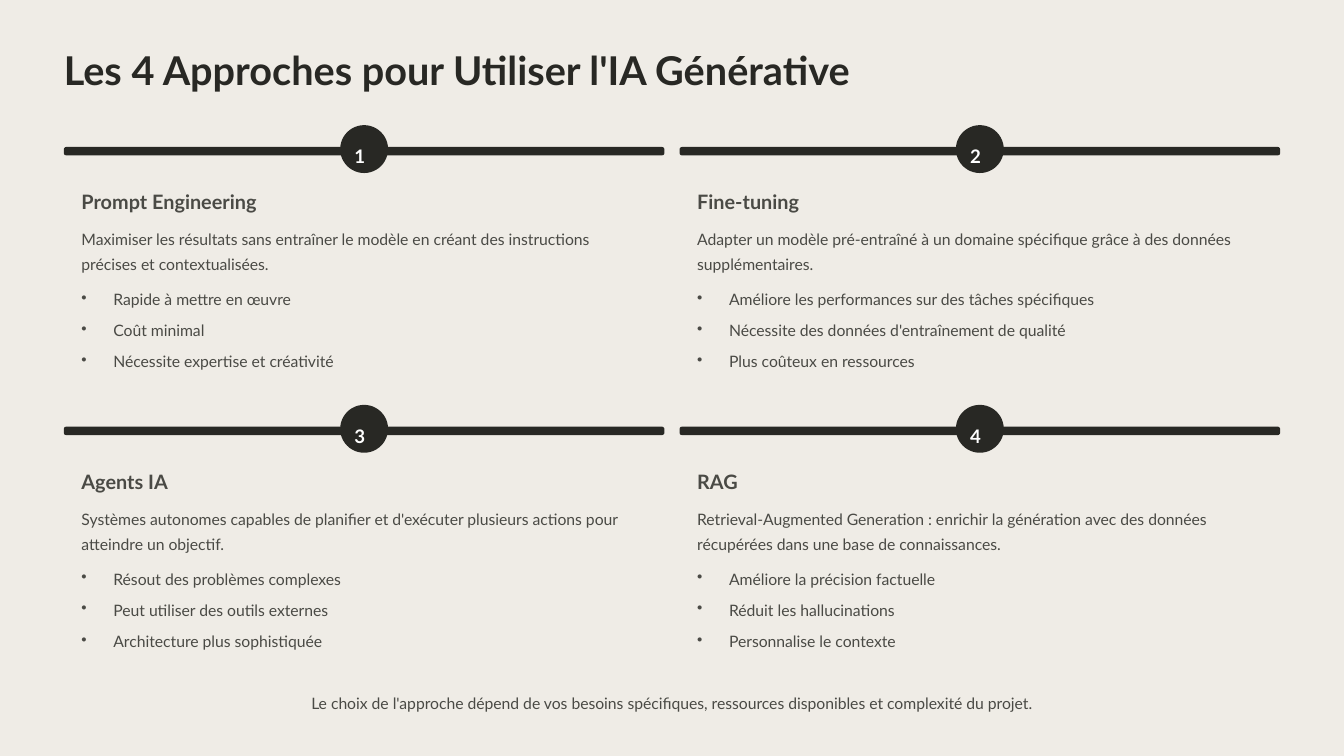
from lxml.etree import SubElement
from pptx import Presentation
from pptx.dml.color import RGBColor
from pptx.enum.shapes import MSO_SHAPE as Shape
from pptx.enum.text import PP_ALIGN as Align
from pptx.oxml.ns import qn
from pptx.util import Inches, Pt

CREAM = RGBColor(0xEF, 0xEC, 0xE6)
INK = RGBColor(0x28, 0x28, 0x24)
GREY = RGBColor(0x4A, 0x4A, 0x45)
WHITE = RGBColor(0xFF, 0xFF, 0xFF)

APPROACHES = [
    ("Prompt Engineering",
     "Maximiser les résultats sans entraîner le modèle en créant des instructions précises et contextualisées.",
     ["Rapide à mettre en œuvre", "Coût minimal", "Nécessite expertise et créativité"]),
    ("Fine-tuning",
     "Adapter un modèle pré-entraîné à un domaine spécifique grâce à des données supplémentaires.",
     ["Améliore les performances sur des tâches spécifiques",
      "Nécessite des données d'entraînement de qualité",
      "Plus coûteux en ressources"]),
    ("Agents IA",
     "Systèmes autonomes capables de planifier et d'exécuter plusieurs actions pour atteindre un objectif.",
     ["Résout des problèmes complexes", "Peut utiliser des outils externes", "Architecture plus sophistiquée"]),
    ("RAG",
     "Retrieval-Augmented Generation : enrichir la génération avec des données "
     "récupérées dans une base de connaissances.",
     ["Améliore la précision factuelle", "Réduit les hallucinations", "Personnalise le contexte"]),
]
LEFT, TOP = 0.76, 1.75
COLUMN_STEP, ROW_STEP = 7.33, 3.33
CARD_WIDTH = 7.15


class SlideBuilder:
    font_name = "Lato"

    def __init__(self, slide):
        self.slide = slide
        fill = slide.background.fill
        fill.solid()
        fill.fore_color.rgb = CREAM

    def shape(self, kind, left, top, width, height):
        shape = self.slide.shapes.add_shape(kind, Inches(left), Inches(top), Inches(width), Inches(height))
        shape.shadow.inherit = False
        shape.fill.solid()
        shape.fill.fore_color.rgb = INK
        shape.line.fill.background()
        return shape

    def text(self, lines, left, top, width, height, size=13.5, color=GREY, bold=False,
             spacing=21.5, align=Align.LEFT, bullets=False):
        box = self.slide.shapes.add_textbox(Inches(left), Inches(top), Inches(width), Inches(height))
        frame = box.text_frame
        frame.word_wrap = True
        frame.margin_left = frame.margin_top = frame.margin_right = frame.margin_bottom = 0
        frame.text = "\n".join(lines)
        for index, paragraph in enumerate(frame.paragraphs):
            paragraph.alignment = align
            paragraph.line_spacing = Pt(spacing)
            if index:
                paragraph.space_before = Pt(5.14)
            if bullets:
                self.bullet(paragraph)
            font = paragraph.font
            font.name, font.size, font.bold = self.font_name, Pt(size), bold
            font.color.rgb = color

    def bullet(self, paragraph):
        properties = paragraph._p.get_or_add_pPr()
        properties.set("marL", str(Inches(0.38)))
        properties.set("indent", str(-Inches(0.38)))
        SubElement(properties, qn("a:buChar"), char="•")

    def card(self, number, left, top, heading, description, points):
        bar = self.shape(Shape.ROUNDED_RECTANGLE, left, top, CARD_WIDTH, 0.1)
        bar.adjustments[0] = 0.28
        self.shape(Shape.OVAL, left + 3.29, top - 0.26, 0.57, 0.57)
        self.text([str(number)], left + 3.46, top - 0.12, 0.23, 0.28, 16, WHITE, True, 26)
        text_left = left + 0.21
        self.text([heading], text_left, top + 0.5, 2.37, 0.3, 17, GREY, True, 21)
        self.text([description], text_left, top + 0.91, 6.72, 0.61)
        self.text(points, text_left, top + 1.63, 6.72, 1.04, bullets=True)


def main():
    presentation = Presentation()
    presentation.slide_width, presentation.slide_height = Inches(16), Inches(9)
    builder = SlideBuilder(presentation.slides.add_slide(presentation.slide_layouts[6]))
    builder.text(["Les 4 Approches pour Utiliser l'IA Générative"],
                 LEFT, 0.52, 9.46, 0.59, 34, INK, True, 42.5)
    for index, approach in enumerate(APPROACHES):
        row, column = divmod(index, 2)
        builder.card(index + 1, LEFT + column * COLUMN_STEP, TOP + row * ROW_STEP, *approach)
    builder.text(["Le choix de l'approche dépend de vos besoins spécifiques, "
                  "ressources disponibles et complexité du projet."],
                 LEFT, 8.18, 14.48, 0.3, align=Align.CENTER)
    presentation.save("out.pptx")


if __name__ == "__main__":
    main()
